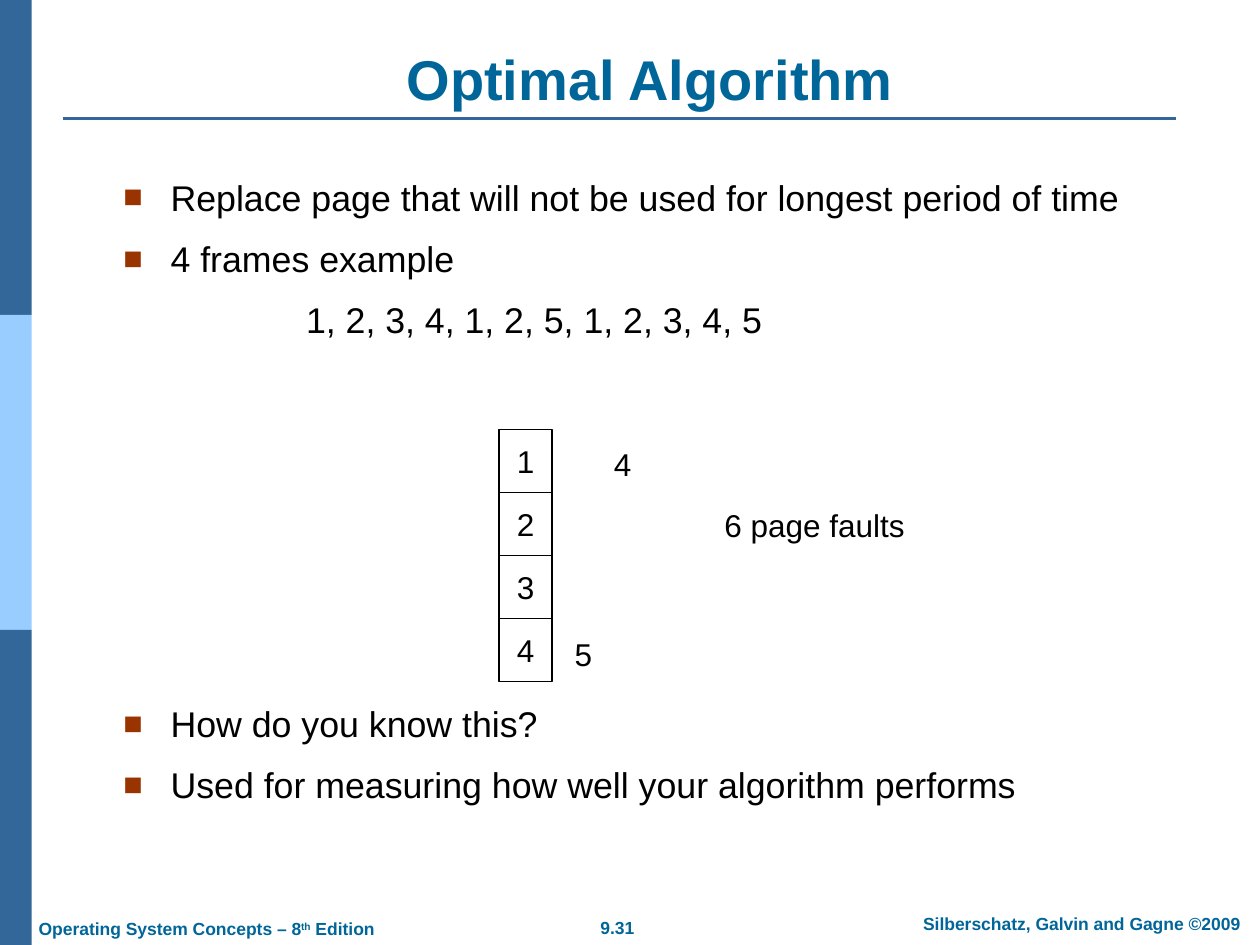
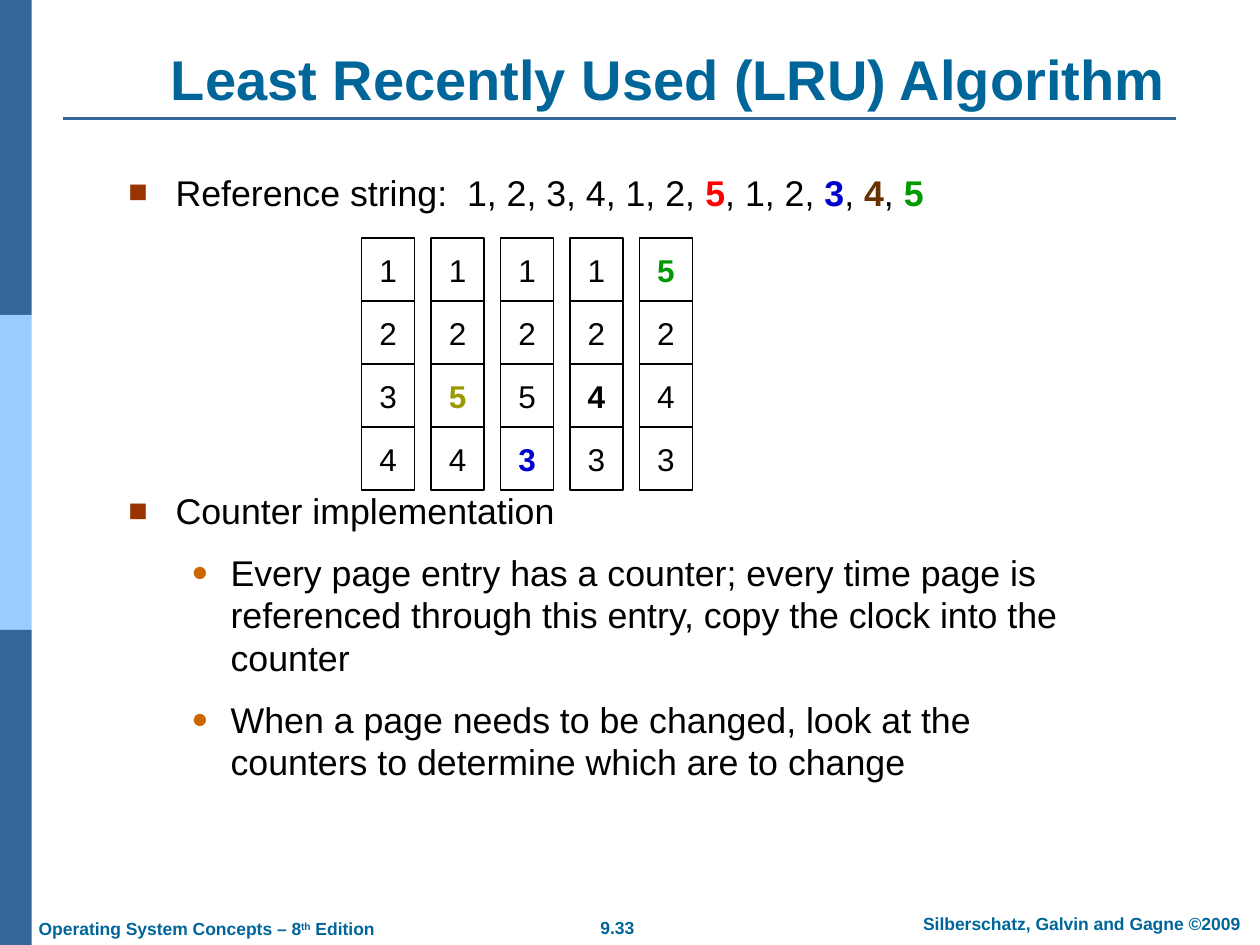
import pptx
import pptx.util
import pptx.dml.color
import pptx.enum.shapes
import pptx.enum.text
import pptx.oxml.ns
import lxml.etree

Cm = pptx.util.Cm
Pt = pptx.util.Pt
ALIGN = pptx.enum.text.PP_ALIGN
ANCHOR = pptx.enum.text.MSO_ANCHOR
RECTANGLE = pptx.enum.shapes.MSO_SHAPE.RECTANGLE
STRAIGHT = pptx.enum.shapes.MSO_CONNECTOR.STRAIGHT

FONT = "Arial"
COLOURS = {
    "band": "336699",
    "band_light": "99CCFF",
    "heading": "006699",
    "text": "000000",
    "paper": "FFFFFF",
    "square": "993300",
    "dot": "CC6600",
    "red": "FF0000",
    "blue": "0000CC",
    "brown": "663300",
    "green": "009900",
    "olive": "999900",
}
# Left margin and hanging indent (cm), bullet sign, bullet colour, bullet size (%)
LEVELS = {
    "main": (0.95, -0.95, "■", "square", 90),
    "sub": (2.06, -0.79, "●", "dot", 80),
    "plain": (3.68, 0, None, None, None),
}
BODY_GAP = 10.5
CELL_WIDTH, CELL_HEIGHT = 1.07, 1.27
COLUMN_PITCH = 1.4


def rgb(name):
    return pptx.dml.color.RGBColor.from_string(COLOURS[name])


def style(font, size, colour="text", bold=False):
    font.name = FONT
    font.size = Pt(size)
    font.bold = bold
    font.color.rgb = rgb(colour)


def add_spans(para, spans):
    """Each span is a string, or a (string, accent colour) pair set in bold."""
    for item in spans:
        text, accent = item if isinstance(item, tuple) else (item, None)
        span = para.add_run()
        span.text = text
        if accent:
            span.font.bold = True
            span.font.color.rgb = rgb(accent)


def add_label(page, place, spans, size=18, colour="text", bold=False,
              align=ALIGN.CENTER, anchor=ANCHOR.MIDDLE):
    box = page.shapes.add_textbox(*map(Cm, place))
    box.text_frame.word_wrap = True
    box.text_frame.vertical_anchor = anchor
    para = box.text_frame.paragraphs[0]
    para.alignment = align
    style(para.font, size, colour, bold)
    add_spans(para, spans)
    return para


def add_rectangle(page, place, fill, line=None):
    shape = page.shapes.add_shape(RECTANGLE, *map(Cm, place))
    shape.shadow.inherit = False
    shape.fill.solid()
    shape.fill.fore_color.rgb = rgb(fill)
    if line:
        shape.line.color.rgb = rgb(line)
        shape.line.width = Pt(0.75)
    else:
        shape.line.fill.background()
    return shape


def add_rule(page, left, right, top):
    rule = page.shapes.add_connector(STRAIGHT, Cm(left), Cm(top), Cm(right), Cm(top))
    rule.line.color.rgb = rgb("band")
    rule.line.width = Pt(1.5)
    lxml.etree.SubElement(rule._element.spPr, pptx.oxml.ns.qn("a:effectLst"))


def set_level(para, level):
    left, indent, sign, colour, percent = LEVELS[level]
    properties = para._p.get_or_add_pPr()
    properties.set("marL", str(Cm(left)))
    properties.set("indent", str(Cm(indent)))

    def add(parent, tag, **attributes):
        return lxml.etree.SubElement(parent, pptx.oxml.ns.qn(tag), attributes)

    if sign is None:
        add(properties, "a:buNone")
        return
    add(add(properties, "a:buClr"), "a:srgbClr", val=COLOURS[colour])
    add(properties, "a:buSzPct", val=str(percent * 1000))
    add(properties, "a:buFont", typeface=FONT)
    add(properties, "a:buChar", char=sign)


def add_body(page, place, items):
    """Each item is (level, spans) or (level, spans, space before in points)."""
    frame = page.shapes.add_textbox(*map(Cm, place)).text_frame
    frame.word_wrap = True
    for number, (level, spans, *gap) in enumerate(items):
        para = frame.add_paragraph() if number else frame.paragraphs[0]
        set_level(para, level)
        if number:
            para.space_before = Pt(gap[0] if gap else BODY_GAP)
        style(para.font, 20.4)
        add_spans(para, spans)


def add_frame_column(page, left, top, entries):
    """A stack of memory frames, one page number in each."""
    for row, entry in enumerate(entries):
        place = (left, top + row * CELL_HEIGHT, CELL_WIDTH, CELL_HEIGHT)
        cell = add_rectangle(page, place, "paper", "text")
        cell.text_frame.vertical_anchor = ANCHOR.MIDDLE
        para = cell.text_frame.paragraphs[0]
        para.alignment = ALIGN.CENTER
        style(para.font, 18)
        add_spans(para, [entry])


def add_page(deck, title, title_place, number):
    page = deck.slides.add_slide(deck.slide_layouts[6])

    # Side bands and title rule
    for row, fill in enumerate(("band", "band_light", "band")):
        add_rectangle(page, (0, row * 6.35, 0.64, 6.35), fill)
    add_rule(page, 1.27, 23.7, 2.39)

    # Footers
    footer = {"size": 10, "colour": "heading", "bold": True, "anchor": ANCHOR.TOP}
    add_label(page, (11.2, 18.36, 2.49, 0.69), [number], **footer)
    add_label(page, (18.21, 18.29, 7.19, 0.69),
              ["Silberschatz, Galvin and Gagne ©2009"], **footer)
    edition = add_label(page, (0.53, 18.39, 9, 0.66),
                        ["Operating System Concepts – 8", "th", " Edition"],
                        align=ALIGN.LEFT, **footer)
    edition.runs[1]._r.get_or_add_rPr().set("baseline", "30000")

    # Title
    add_label(page, title_place, [title], 32, "heading", True, anchor=ANCHOR.BOTTOM)
    return page


def add_optimal_page(deck):
    page = add_page(deck, "Optimal Algorithm", (2.08, 0.78, 22.05, 1.6), "9.31")
    add_body(page, (2.24, 3.41, 22.86, 12.6), [
        ("main", ["Replace page that will not be used for longest period of time"]),
        ("main", ["4 frames example"]),
        ("plain", ["1, 2, 3, 4, 1, 2, 5, 1, 2, 3, 4, 5"]),
        ("main", ["How do you know this?"], 206.3),
        ("main", ["Used for measuring how well your algorithm performs"]),
    ])

    # Frames with the pages that replace them
    add_frame_column(page, 10.06, 8.66, "1234")
    add_label(page, (12.12, 8.84, 0.86, 1.02), ["4"])
    add_label(page, (11.33, 12.67, 0.86, 1.02), ["5"])
    add_label(page, (14.35, 10.08, 4.14, 1.02), ["6 page faults"])


def add_lru_page(deck):
    page = add_page(deck, "Least Recently Used (LRU) Algorithm",
                    (2.82, 0.78, 21.31, 1.6), "9.33")
    add_body(page, (2.34, 3.31, 20.42, 12.45), [
        ("main", ["Reference string:  1, 2, 3, 4, 1, 2, ", ("5", "red"), ", 1, 2, ",
                  ("3", "blue"), ", ", ("4", "brown"), ", ", ("5", "green")]),
        ("main", ["Counter implementation"], 157.7),
        ("sub", ["Every page entry has a counter; every time page is referenced "
                 "through this entry, copy the clock into the counter"]),
        ("sub", ["When a page needs to be changed, look at the counters to "
                 "determine which are to change"]),
    ])

    # Frame contents after each replacement
    columns = [
        ["1", "2", "3", "4"],
        ["1", "2", ("5", "olive"), "4"],
        ["1", "2", "5", ("3", "blue")],
        ["1", "2", ("4", "text"), "3"],
        [("5", "green"), "2", "4", "3"],
    ]
    for step, entries in enumerate(columns):
        add_frame_column(page, 7.29 + step * COLUMN_PITCH, 4.8, entries)


def main():
    deck = pptx.Presentation()
    deck.slide_width, deck.slide_height = Cm(25.4), Cm(19.05)
    add_optimal_page(deck)
    add_lru_page(deck)
    deck.save("out.pptx")


if __name__ == "__main__":
    main()
